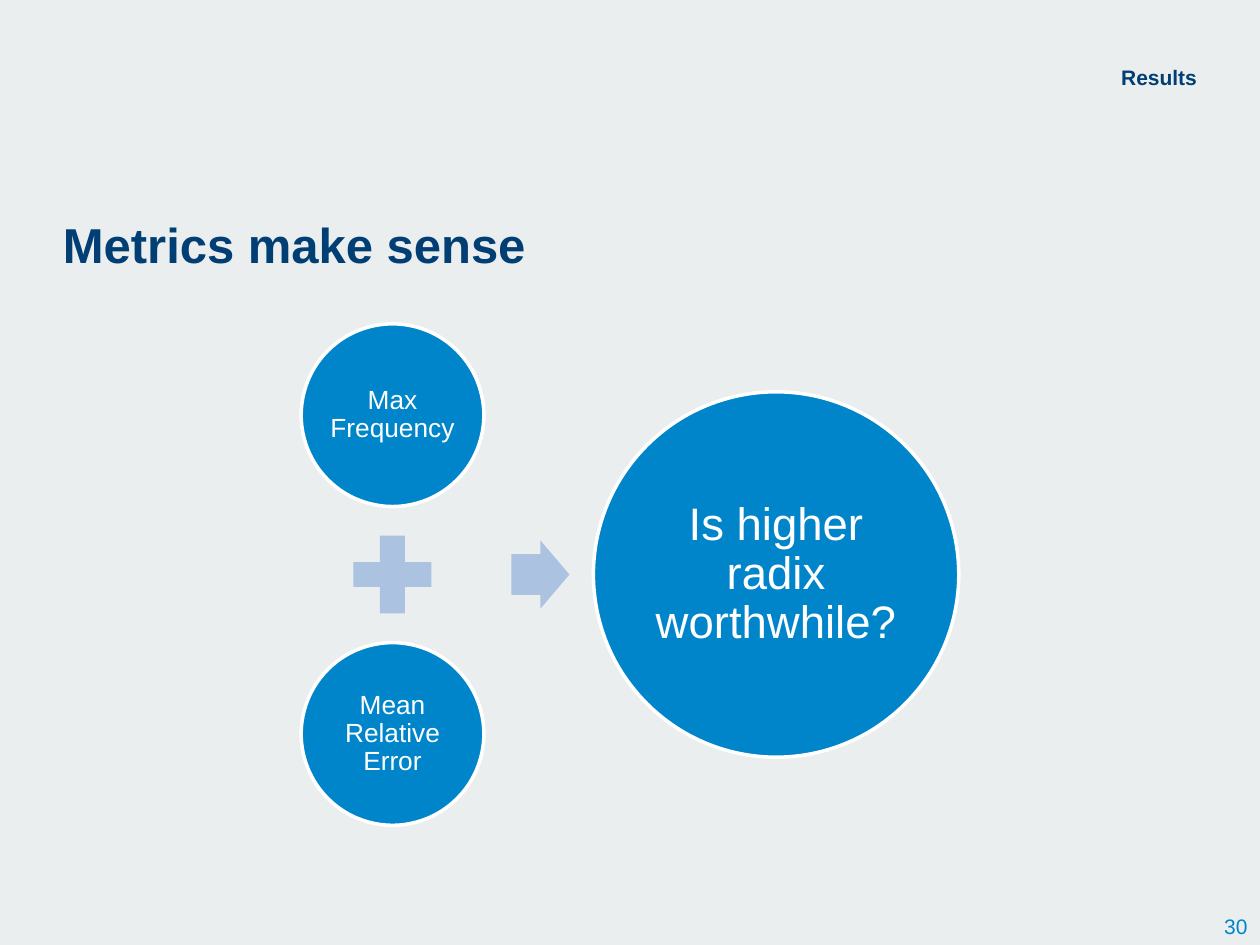
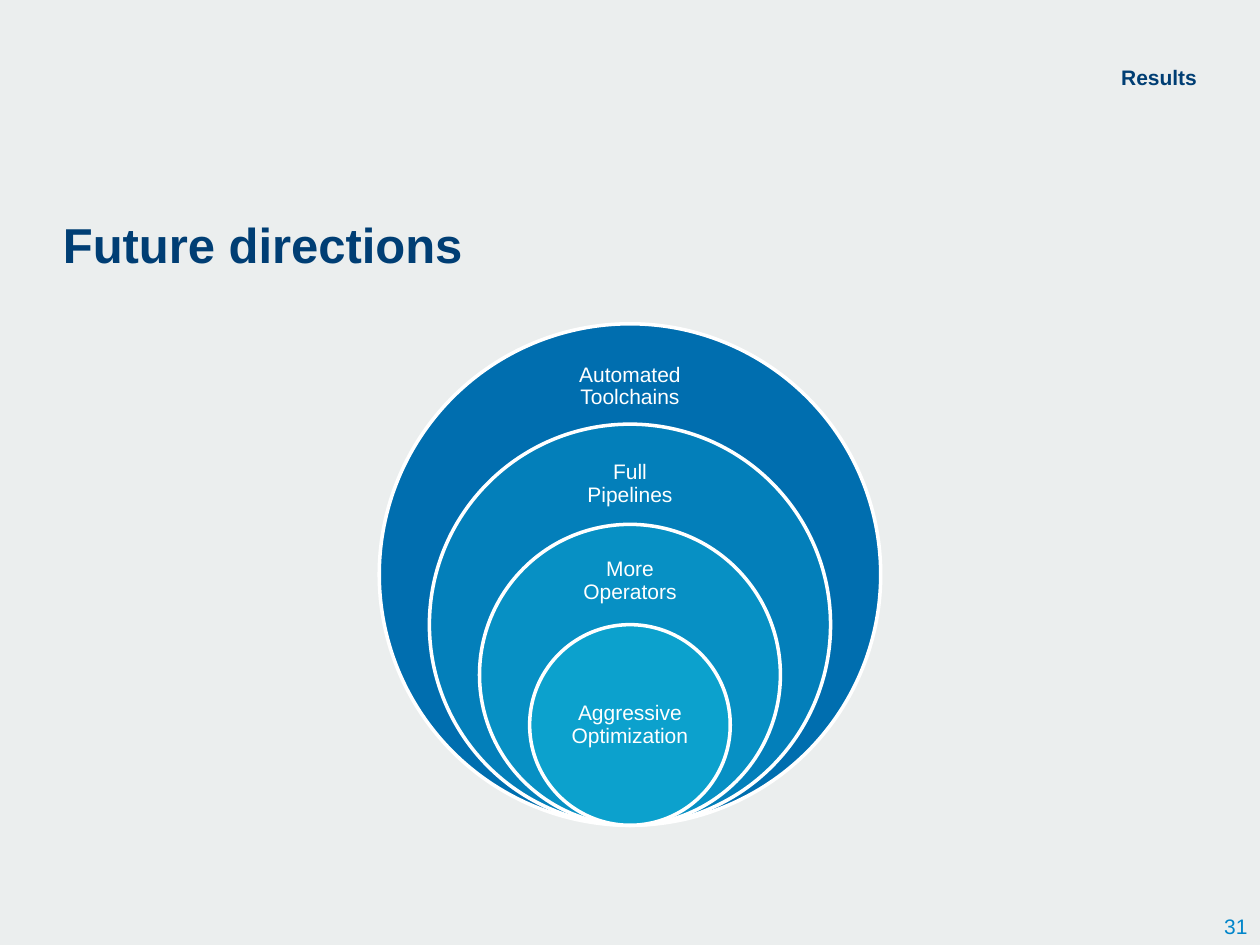
import pptx
import pptx.util
import pptx.dml.color
import pptx.enum.shapes
import pptx.enum.text

Inches = pptx.util.Inches
Pt = pptx.util.Pt
SHAPE = pptx.enum.shapes.MSO_SHAPE
ALIGN = pptx.enum.text.PP_ALIGN
ANCHOR = pptx.enum.text.MSO_ANCHOR

FONT = "Arial"
COLORS = {
    "background": "EBEEEE",
    "heading": "003E74",
    "accent": "0085CA",
    "operator": "ABC2E1",
    "white": "FFFFFF",
}
RING_COLORS = ["006EAF", "037FBA", "0790C4", "0CA1CD"]
DIAGRAM_BOX = (0.5, 2.57, 9, 3.98)


def rgb(value):
    return pptx.dml.color.RGBColor.from_string(value)


def write(frame, text, size, color, align=ALIGN.LEFT, anchor=ANCHOR.TOP,
          insets=(0, 0, 0, 0), bold=False, wrap=True):
    """Fill a text frame with one paragraph; insets run left, top, right, bottom."""
    frame.word_wrap = wrap
    frame.vertical_anchor = anchor
    (frame.margin_left, frame.margin_top,
     frame.margin_right, frame.margin_bottom) = map(Inches, insets)
    paragraph = frame.paragraphs[0]
    paragraph.text = text
    paragraph.alignment = align
    paragraph.font.name = FONT
    paragraph.font.size = Pt(size)
    paragraph.font.bold = bold
    paragraph.font.color.rgb = rgb(color)
    return paragraph


def add_text(slide, box, *args, **style):
    return write(slide.shapes.add_textbox(*map(Inches, box)).text_frame, *args, **style)


def add_label(frame, text, size, inset):
    """Write a centred white diagram label."""
    paragraph = write(frame, text, size, COLORS["white"], ALIGN.CENTER,
                      ANCHOR.MIDDLE, (inset,) * 4)
    paragraph.line_spacing = 0.9


def add_solid(slide, kind, box, color):
    solid = slide.shapes.add_shape(kind, *map(Inches, box))
    solid.shadow.inherit = False
    solid.fill.solid()
    solid.fill.fore_color.rgb = rgb(color)
    solid.line.fill.background()
    return solid


def add_circle(slide, left, top, diameter, color):
    circle = add_solid(slide, SHAPE.OVAL, (left, top, diameter, diameter), color)
    circle.line.color.rgb = rgb(COLORS["white"])
    circle.line.width = Pt(2)
    return circle


def add_base_slide(deck, title, number):
    """Background, page number, title and section name."""
    slide = deck.slides.add_slide(deck.slide_layouts[6])
    slide.background.fill.solid()
    slide.background.fill.fore_color.rgb = rgb(COLORS["background"])
    add_text(slide, (9.59, 7.2, 0.41, 0.3), str(number), 12, COLORS["accent"],
             ALIGN.RIGHT, insets=(0.1, 0.05, 0.1, 0.05), wrap=False)
    add_text(slide, (0.5, 1.63, 9, 0.56), title, 28, COLORS["heading"],
             anchor=ANCHOR.MIDDLE, insets=(0, 0.05, 0, 0), bold=True)
    section = add_text(slide, (6.93, 0.51, 2.57, 0.34), "Results", 12,
                       COLORS["heading"], ALIGN.RIGHT, bold=True)
    section.space_before = Pt(2.4)
    return slide


def add_metrics_equation(slide, box, metrics, question):
    """Two metrics joined by a plus, leading to one large question."""
    left, top, width, height = box
    metric_size, plus_size, question_size = 1.45, 0.84, 2.9
    arrow_width, arrow_height = 0.46, 0.54
    metric_left = left + 1.89
    middle = top + height / 2

    # Metrics at the top and bottom of the box
    for metric, metric_top in zip(metrics, (top, top + height - metric_size)):
        circle = add_circle(slide, metric_left, metric_top, metric_size, COLORS["accent"])
        add_label(circle.text_frame, metric, 15, 0.02)

    # Plus and arrow on the middle line
    plus_left = metric_left + (metric_size - plus_size) / 2
    add_solid(slide, SHAPE.MATH_PLUS,
              (plus_left, middle - plus_size / 2, plus_size, plus_size), COLORS["operator"])
    arrow_left = metric_left + metric_size + 0.22
    arrow = add_solid(slide, SHAPE.RIGHT_ARROW,
                      (arrow_left, middle - arrow_height / 2, arrow_width, arrow_height),
                      COLORS["operator"])
    arrow.adjustments[0] = 0.6

    # Question
    circle = add_circle(slide, arrow_left + arrow_width + 0.19,
                        middle - question_size / 2, question_size, COLORS["accent"])
    add_label(circle.text_frame, question, 26, 0.04)


def add_nested_rings(slide, box, directions):
    """Circles that shrink evenly and share their lowest point."""
    left, top, width, height = box
    center = left + width / 2
    label_width = 1.11
    last = len(directions) - 1
    for i, (direction, color) in enumerate(zip(directions, RING_COLORS)):
        diameter = height * (1 - i / 5)
        ring_top = top + height - diameter
        ring = add_circle(slide, center - diameter / 2, ring_top, diameter, color)
        if i == last:
            label = ring
        else:
            label_height = 0.6 - 0.03 * i
            label = slide.shapes.add_textbox(*map(Inches, (
                center - label_width / 2, ring_top + label_height / 3,
                label_width, label_height)))
        add_label(label.text_frame, direction, 12, 0.09)


def main():
    deck = pptx.Presentation()
    deck.slide_width, deck.slide_height = Inches(10), Inches(7.5)

    metrics_slide = add_base_slide(deck, "Metrics make sense", 30)
    add_metrics_equation(metrics_slide, DIAGRAM_BOX,
                         ["Max Frequency", "Mean Relative Error"],
                         "Is higher radix worthwhile?")

    future_slide = add_base_slide(deck, "Future directions", 31)
    add_nested_rings(future_slide, DIAGRAM_BOX,
                     ["Automated Toolchains", "Full Pipelines",
                      "More Operators", "Aggressive Optimization"])

    deck.save("out.pptx")


if __name__ == "__main__":
    main()
